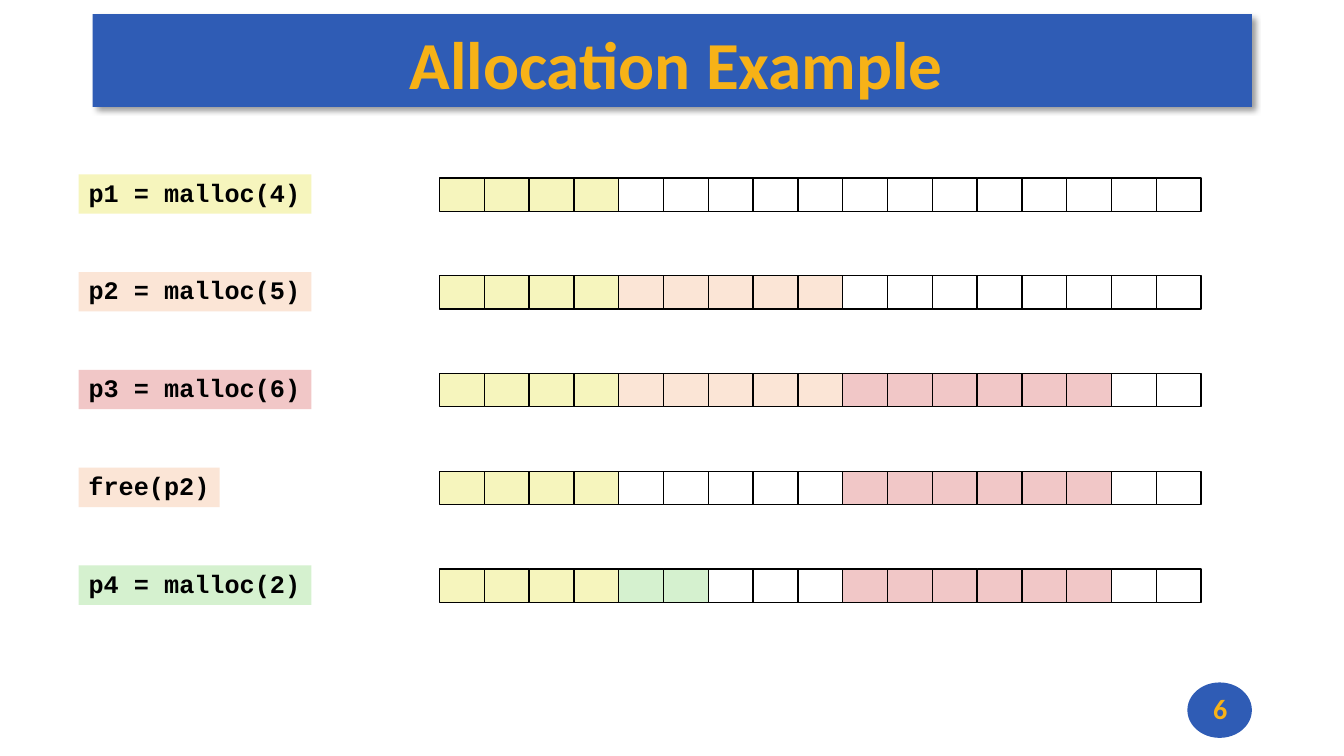
from lxml.etree import SubElement
from pptx import Presentation
from pptx.dml.color import RGBColor
from pptx.enum.shapes import MSO_SHAPE
from pptx.enum.text import MSO_ANCHOR, MSO_AUTO_SIZE, PP_ALIGN
from pptx.oxml.ns import qn
from pptx.util import Pt

BLUE = RGBColor(0x2F, 0x5C, 0xB5)
GOLD = RGBColor(0xF7, 0xB2, 0x17)
BLACK = RGBColor(0x00, 0x00, 0x00)
WHITE = RGBColor(0xFF, 0xFF, 0xFF)
YELLOW = RGBColor(0xF6, 0xF5, 0xBD)
PEACH = RGBColor(0xFB, 0xE5, 0xD6)
PINK = RGBColor(0xF1, 0xC7, 0xC7)
GREEN = RGBColor(0xD5, 0xF1, 0xCF)

# Each step: call, label colour, label width, runs of (cell count, colour)
STEPS = [
    ("p1 = malloc(4)", YELLOW, 166.32, [(4, YELLOW), (13, WHITE)]),
    ("p2 = malloc(5)", PEACH, 166.32, [(4, YELLOW), (5, PEACH), (8, WHITE)]),
    ("p3 = malloc(6)", PINK, 166.32,
     [(4, YELLOW), (5, PEACH), (6, PINK), (2, WHITE)]),
    ("free(p2)", PEACH, 100.8,
     [(4, YELLOW), (5, WHITE), (6, PINK), (2, WHITE)]),
    ("p4 = malloc(2)", GREEN, 166.32,
     [(4, YELLOW), (2, GREEN), (3, WHITE), (6, PINK), (2, WHITE)]),
]
FIRST_ROW_TOP = 124.56
ROW_PITCH = 69.84
LABEL_LEFT = 56.16
LABEL_HEIGHT = 28.08
HEAP_LEFT = 314
HEAP_OFFSET = 2.6
CELL_WIDTH = 32
CELL_HEIGHT = 23.76


class SlideBuilder:
    heading_font = "Calibri"
    code_font = "Courier New"

    def __init__(self, slide):
        self.slide = slide

    def shape(self, kind, left, top, width, height, fill, line=None, parent=None):
        shapes = (parent or self.slide).shapes
        shape = shapes.add_shape(kind, Pt(left), Pt(top), Pt(width), Pt(height))
        shape.shadow.inherit = False
        shape.fill.solid()
        shape.fill.fore_color.rgb = fill
        if line is None:
            shape.line.fill.background()
        else:
            shape.line.color.rgb = line
            shape.line.width = Pt(1)
        return shape

    def drop_shadow(self, shape):
        effects = shape._element.spPr.find(qn("a:effectLst"))
        shadow = SubElement(effects, qn("a:outerShdw"), blurRad=str(Pt(4)),
                            dist=str(Pt(3)), dir=str(45 * 60000),
                            algn="tl", rotWithShape="0")
        color = SubElement(shadow, qn("a:srgbClr"), val=str(BLACK))
        SubElement(color, qn("a:alpha"), val="40000")

    def set_text(self, shape, text, font_name, size, color, alignment):
        paragraph = shape.text_frame.paragraphs[0]
        paragraph.text = text
        paragraph.alignment = alignment
        font = paragraph.font
        font.name = font_name
        font.size = Pt(size)
        font.bold = True
        font.color.rgb = color
        return paragraph

    def heading(self, text, left, top, width, height, size):
        box = self.slide.shapes.add_textbox(Pt(left), Pt(top), Pt(width), Pt(height))
        frame = box.text_frame
        frame.word_wrap = True
        frame.vertical_anchor = MSO_ANCHOR.MIDDLE
        frame.margin_left, frame.margin_right = Pt(5.76), Pt(0)
        frame.margin_top = frame.margin_bottom = Pt(2.16)
        self.set_text(box, text, self.heading_font, size, GOLD, PP_ALIGN.CENTER)
        return box

    def code_label(self, text, top, width, fill):
        label = self.shape(MSO_SHAPE.RECTANGLE, LABEL_LEFT, top, width,
                           LABEL_HEIGHT, fill)
        frame = label.text_frame
        frame.word_wrap = False
        frame.auto_size = MSO_AUTO_SIZE.SHAPE_TO_FIT_TEXT
        frame.vertical_anchor = MSO_ANCHOR.TOP
        paragraph = self.set_text(label, text, self.code_font, 18, BLACK,
                                  PP_ALIGN.LEFT)
        paragraph.line_spacing = 0.94

    def heap(self, top, runs):
        """Draw one row of memory cells as a group."""
        group = self.slide.shapes.add_group_shape()
        colors = [color for count, color in runs for _ in range(count)]
        for index, color in enumerate(colors):
            self.shape(MSO_SHAPE.RECTANGLE, HEAP_LEFT + index * CELL_WIDTH, top,
                       CELL_WIDTH, CELL_HEIGHT, color, BLACK, group)


def main():
    presentation = Presentation()
    presentation.slide_width = Pt(960)
    presentation.slide_height = Pt(540)
    builder = SlideBuilder(presentation.slides.add_slide(presentation.slide_layouts[6]))

    banner = builder.shape(MSO_SHAPE.RECTANGLE, 66.24, 10.08, 828, 66.24, BLUE)
    builder.drop_shadow(banner)
    builder.shape(MSO_SHAPE.OVAL, 848.16, 487.44, 46.08, 39.6, BLUE)
    builder.heading("Allocation Example", 67.68, 15.12, 825.12, 59.04, 48)

    for index, (call, color, width, runs) in enumerate(STEPS):
        top = FIRST_ROW_TOP + index * ROW_PITCH
        builder.heap(top + HEAP_OFFSET, runs)
        builder.code_label(call, top, width, color)

    page_number = builder.heading("6", 848.16, 487.44, 46.8, 37.44, 20)
    page_number.text_frame.margin_right = Pt(5.76)
    presentation.save("out.pptx")


if __name__ == "__main__":
    main()
